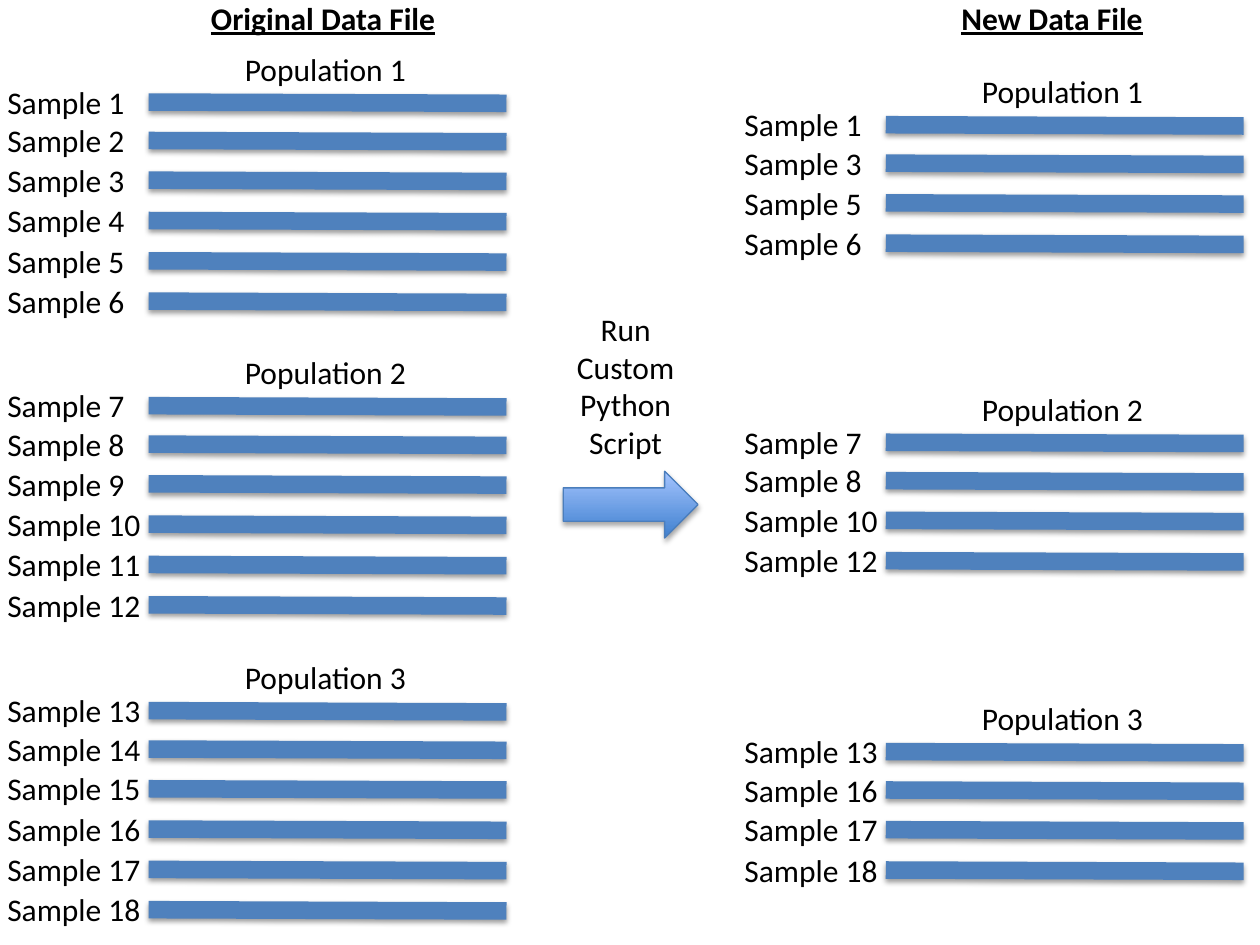
import pptx
import pptx.util
import pptx.dml.color
import pptx.enum.dml
import pptx.enum.shapes
import pptx.enum.text
import lxml.etree

look = {
    "font": "Calibri", "size": 18, "ink": "000000",
    "bar": "4F81BD", "edge": "4B7EBC", "low": "3F80CE", "high": "A4C4FF",
    "bar_w": 10, "edge_w": 0.75,
}
tint = pptx.dml.color.RGBColor.from_string
point = pptx.util.Pt
align = pptx.enum.text.PP_ALIGN

deck = pptx.Presentation()
deck.slide_width = pptx.util.Inches(10)
deck.slide_height = pptx.util.Inches(7.5)
slide = deck.slides.add_slide(deck.slide_layouts[6])

# Grid: 100 columns by 75 rows
col = deck.slide_width / 100
row = deck.slide_height / 75


def write(lines, left, top, wide, side=align.LEFT, title=False):
    box = slide.shapes.add_textbox(
        int(left * col), int(top * row), int(wide * col),
        int((1 + 3 * len(lines)) * row))
    frame = box.text_frame
    frame.word_wrap = False
    frame.auto_size = pptx.enum.text.MSO_AUTO_SIZE.SHAPE_TO_FIT_TEXT
    for n, line in enumerate(lines):
        para = frame.add_paragraph() if n else frame.paragraphs[0]
        para.alignment = side
        run = para.add_run()
        run.text = line
        run.font.name = look["font"]
        run.font.size = point(look["size"])
        run.font.color.rgb = tint(look["ink"])
        if title:
            run.font.bold = run.font.underline = True


def shade(shape, dist, alpha):
    node = shape._element.spPr
    for old in node.findall(pptx.oxml.ns.qn("a:effectLst")):
        node.remove(old)
    node.append(lxml.etree.fromstring(
        f'<a:effectLst {pptx.oxml.ns.nsdecls("a")}>'
        f'<a:outerShdw blurRad="{point(3.1)}" dist="{point(dist)}" '
        'dir="5400000" rotWithShape="0"><a:srgbClr val="000000">'
        f'<a:alpha val="{alpha * 1000}"/></a:srgbClr></a:outerShdw>'
        '</a:effectLst>'))


# Each file: title, its left and width, left edge, then first row and samples
files = [
    ("Original Data File", 15.6, 20.1, -0.4, [
        (8.1, range(1, 7)), (32.2, range(7, 13)), (56.4, range(13, 19))]),
    ("New Data File", 75.2, 16.6, 58.1, [
        (9.9, (1, 3, 5, 6)), (35.1, (7, 8, 10, 12)),
        (59.65, (13, 16, 17, 18))]),
]
steps = [0, 3.05, 6.2, 9.4, 12.6, 15.8]

for title, left, wide, edge, groups in files:
    write([title], left, -0.6, wide, align.CENTER, True)
    for pop, (first, names) in enumerate(groups, 1):
        write([f"Population {pop}"], edge + 18.85, first - 4.65, 15)
        for step, name in zip(steps, names):
            top = first + step
            # Sample bar, with a slight slope
            bar = slide.shapes.add_connector(
                pptx.enum.shapes.MSO_CONNECTOR.STRAIGHT,
                int((edge + 12.2) * col), int(top * row),
                int((edge + 40.6) * col), int((top + 0.1) * row))
            bar.line.color.rgb = tint(look["bar"])
            bar.line.width = point(look["bar_w"])
            shade(bar, 1.6, 38)
            # Sample label
            write([f"Sample {name}"], edge, top - 2.02,
                  11.4 if name < 10 else 12.7)

# Script step between the files
arrow = slide.shapes.add_shape(
    pptx.enum.shapes.MSO_SHAPE.RIGHT_ARROW,
    int(44.7 * col), int(37.4 * row), int(10.7 * col), int(5.3 * row))
arrow.fill.gradient()
arrow.fill.gradient_angle = 90
for stop, hue in zip(arrow.fill.gradient_stops, ("low", "high")):
    stop.color.rgb = tint(look[hue])
arrow.line.color.rgb = tint(look["edge"])
arrow.line.width = point(look["edge_w"])
shade(arrow, 1.8, 35)
write(["Run", "Custom", "Python", "Script"], 44.7, 24.1, 9.9, align.CENTER)

deck.save("out.pptx")
